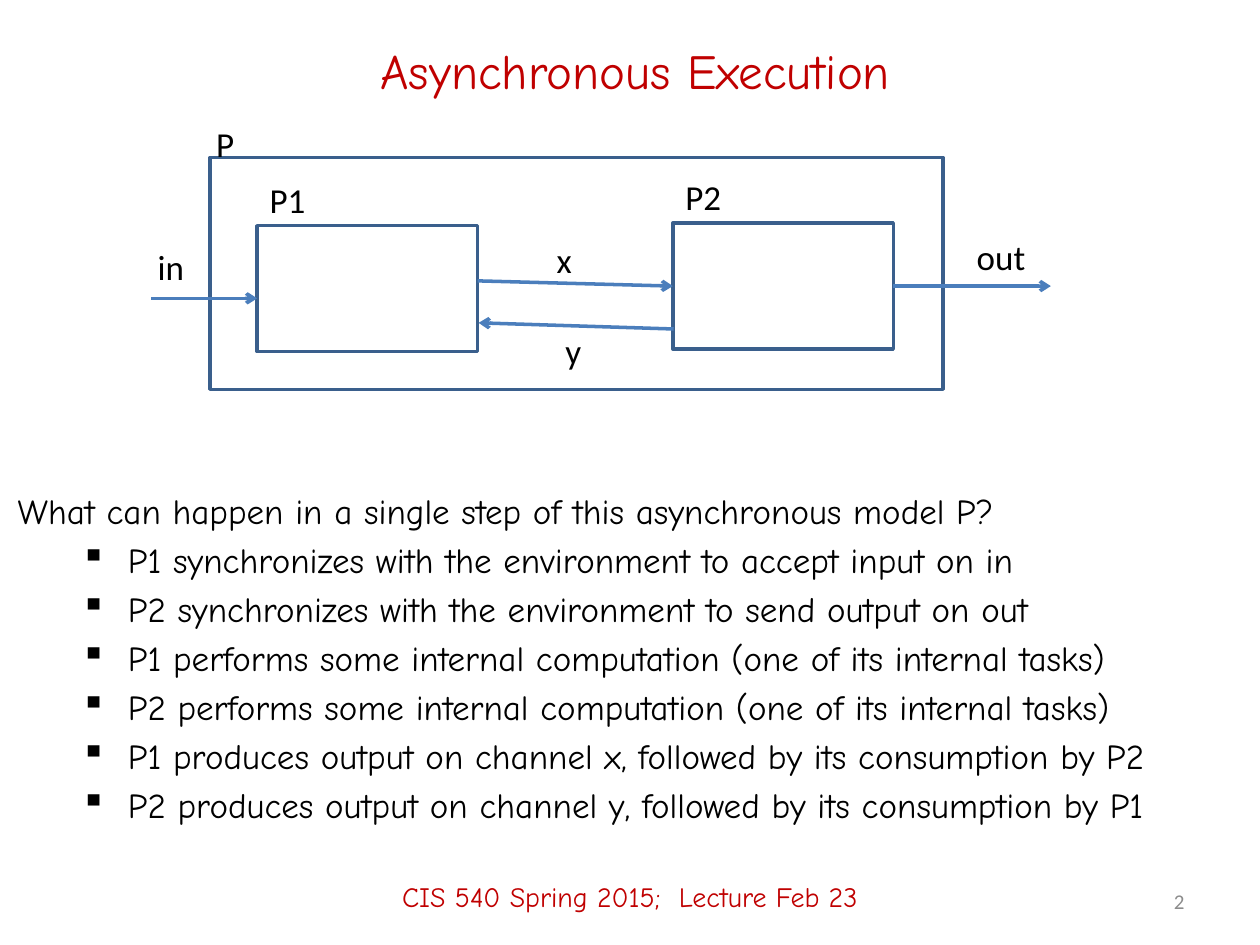
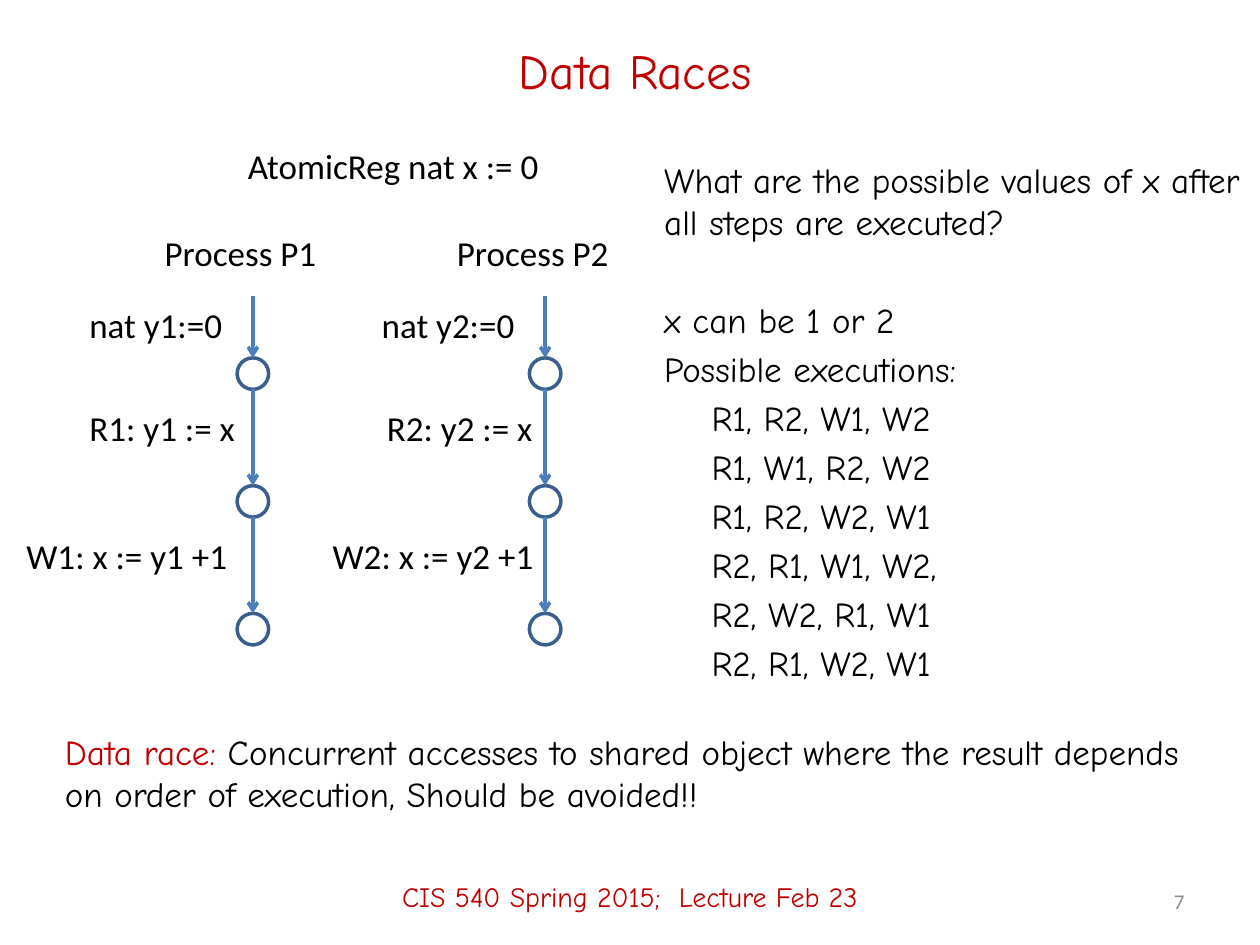
"""Build two lecture slides on asynchronous execution and data races."""
import pptx
import pptx.dml.color
import pptx.enum.shapes
import pptx.enum.text
import pptx.oxml.ns
import pptx.util
from lxml import etree

Pt = pptx.util.Pt
hex_colour = pptx.dml.color.RGBColor.from_string
ALIGN = pptx.enum.text.PP_ALIGN
ANCHOR = pptx.enum.text.MSO_ANCHOR
SHAPE = pptx.enum.shapes.MSO_SHAPE
qn = pptx.oxml.ns.qn

RED, BLACK, GREY = "C00000", "000000", "8C8C8C"
OUTLINE, ARROW = "3A5F8C", "4B7EBC"
HAND, PLAIN = "Comic Neue", "Calibri"
LABEL_HEIGHT = 31.5


def add_text(slide, box, text, font=PLAIN, size=20, colour=BLACK,
             align=ALIGN.LEFT, anchor=ANCHOR.TOP, wrap=True):
    frame = slide.shapes.add_textbox(*[Pt(length) for length in box]).text_frame
    frame.word_wrap = wrap
    frame.vertical_anchor = anchor
    frame.text = text
    for index, paragraph in enumerate(frame.paragraphs):
        paragraph.alignment = align
        if index:
            paragraph.space_before = Pt(4)
        for run in paragraph.runs:
            run.font.name = font
            run.font.size = Pt(size)
            run.font.color.rgb = hex_colour(colour)
    return frame


def add_arrow(slide, start, end):
    arrow = slide.shapes.add_connector(
        pptx.enum.shapes.MSO_CONNECTOR.STRAIGHT,
        *[Pt(length) for length in (*start, *end)])
    arrow.line.color.rgb = hex_colour(ARROW)
    arrow.line.width = Pt(2)
    properties = arrow._element.spPr
    etree.SubElement(properties.find(qn("a:ln")), qn("a:tailEnd"), type="arrow")
    etree.SubElement(properties, qn("a:effectLst"))
    return arrow


presentation = pptx.Presentation()
presentation.slide_width = Pt(720)
presentation.slide_height = Pt(540)

slides = []
for title, number in (("Asynchronous Execution", "2"), ("Data Races", "7")):
    slide = presentation.slides.add_slide(presentation.slide_layouts[6])
    add_text(slide, (54, 12, 618, 56), title, HAND, 28, RED,
             ALIGN.CENTER, ANCHOR.MIDDLE)
    add_text(slide, (0, 484, 720, 56), "CIS 540 Spring 2015;  Lecture Feb 23",
             HAND, 16, RED, ALIGN.CENTER, ANCHOR.MIDDLE)
    add_text(slide, (516, 500.5, 168, 28.5), number, PLAIN, 12, GREY,
             ALIGN.RIGHT, ANCHOR.MIDDLE)
    slides.append(slide)
execution_slide, races_slide = slides

steps = add_text(execution_slide, (3, 276, 708, 207), "\n".join((
    "What can happen in a single step of this asynchronous model P?",
    "P1 synchronizes with the environment to accept input on in",
    "P2 synchronizes with the environment to send output on out",
    "P1 performs some internal computation (one of its internal tasks)",
    "P2 performs some internal computation (one of its internal tasks)",
    "P1 produces output on channel x, followed by its consumption by P2",
    "P2 produces output on channel y, followed by its consumption by P1",
)), HAND)
for paragraph in steps.paragraphs[1:]:
    properties = paragraph._p.get_or_add_pPr()
    properties.set("marL", str(Pt(63)))
    properties.set("indent", str(Pt(-27)))
    etree.SubElement(properties, qn("a:buChar"), char="▪")

outlines = []
for box in ((147, 129, 126, 72), (384.5, 127.5, 126, 72), (120, 90, 419, 132.5)):
    outlines.append(execution_slide.shapes.add_shape(
        SHAPE.RECTANGLE, *[Pt(length) for length in box]))
process_2 = outlines[1]

for text, left, top, width in (
        ("P", 116.5, 66.5, 25), ("P1", 147, 98.5, 35), ("P2", 384.5, 97, 35),
        ("in", 83, 137, 30), ("out", 551, 131, 42.5),
        ("x", 311, 133, 23), ("y", 316, 184.5, 24)):
    add_text(execution_slide, (left, top, width, LABEL_HEIGHT), text, wrap=False)

add_arrow(execution_slide, (86.5, 170.5), (147, 170.5))
add_arrow(execution_slide, (385, 188), (273.5, 184.5))
x_arrow = add_arrow(execution_slide, (273, 160.5), (384.5, 163.5))
x_arrow.end_connect(process_2, 1)
out_arrow = add_arrow(execution_slide, (510.5, 163.5), (600.5, 163.5))
out_arrow.begin_connect(process_2, 3)

add_text(races_slide, (134.5, 79, 182, LABEL_HEIGHT), "AtomicReg nat x := 0",
         wrap=False)
STATE_SIZE, STATE_TOP, STATE_STEP = 18, 204.5, 73
for process, centre, read_left, write_left in (
        (1, 144.5, 44, 8), (2, 311.5, 214, 183)):
    for text, left, top, width in (
            (f"Process P{process}", centre - 57.5, 129, 102),
            (f"nat y{process}:=0", centre - 100.5, 170, 91.5),
            (f"R{process}: y{process} := x", read_left, 228.5, 98.5),
            (f"W{process}: x := y{process} +1", write_left, 302, 130.5)):
        add_text(races_slide, (left, top, width, LABEL_HEIGHT), text, wrap=False)
    arrow_start = 169
    for step in range(3):
        top = STATE_TOP + step * STATE_STEP
        state = races_slide.shapes.add_shape(
            SHAPE.OVAL, Pt(centre - STATE_SIZE / 2), Pt(top),
            Pt(STATE_SIZE), Pt(STATE_SIZE))
        outlines.append(state)
        arrow = add_arrow(races_slide, (centre, arrow_start), (centre, top))
        arrow.end_connect(state, 0)
        arrow_start = top + STATE_SIZE

for shape in outlines:
    shape.shadow.inherit = False
    shape.fill.background()
    shape.line.color.rgb = hex_colour(OUTLINE)
    shape.line.width = Pt(2)

answer = add_text(races_slide, (372.5, 87, 346.5, 351), "\n".join((
    "What are the possible values of x after all steps are executed?",
    "x can be 1 or 2",
    "Possible executions:",
    "R1, R2, W1, W2",
    "R1, W1, R2, W2",
    "R1, R2, W2, W1",
    "R2, R1, W1, W2,",
    "R2, W2, R1, W1",
    "R2, R1, W2, W1",
)), HAND)
answer.paragraphs[1].space_before = Pt(32)
for paragraph in answer.paragraphs[3:]:
    paragraph._p.get_or_add_pPr().set("marL", str(Pt(27)))

definition = add_text(races_slide, (30, 414, 653, 61), "Data race: ", HAND, colour=RED)
run = definition.paragraphs[0].add_run()
run.text = ("Concurrent accesses to shared object where the result depends "
            "on order of execution, Should be avoided!!")
run.font.name = HAND
run.font.size = Pt(20)
run.font.color.rgb = hex_colour(BLACK)

presentation.save("out.pptx")
